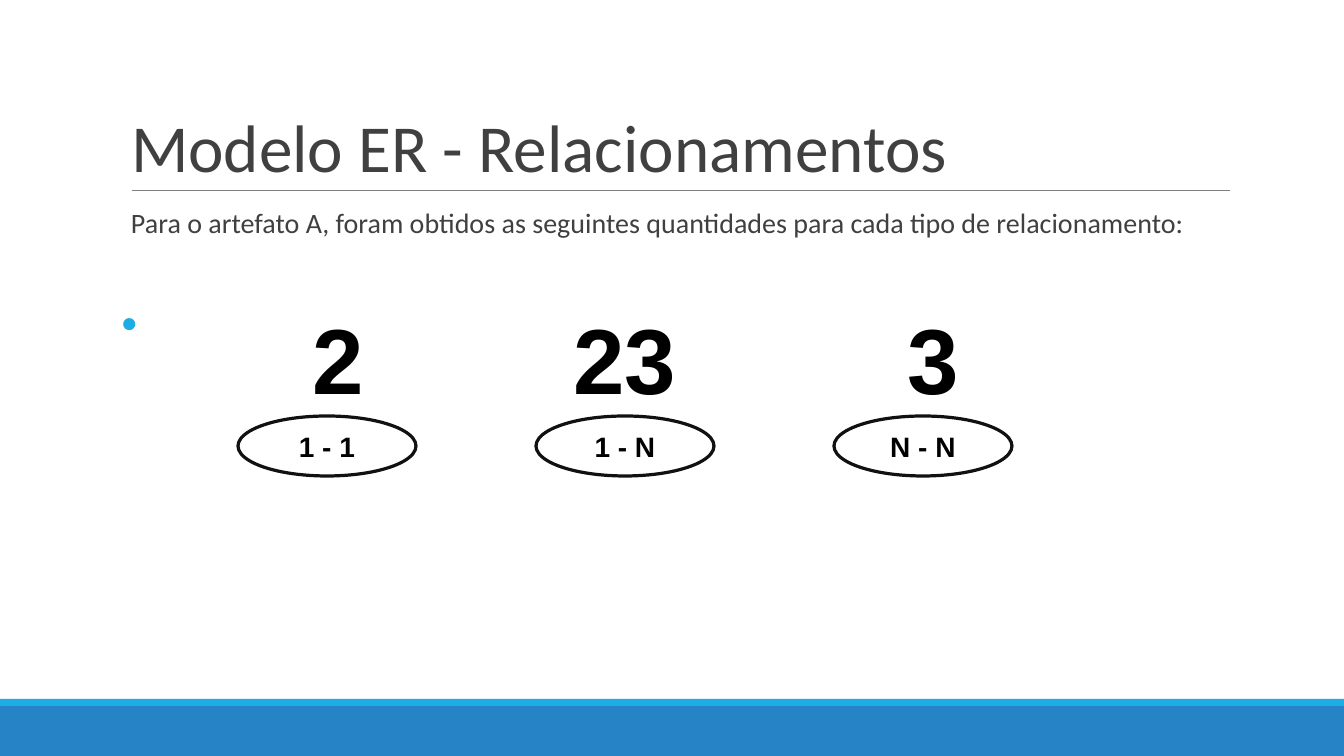
from dataclasses import dataclass

from lxml import etree
from pptx import Presentation
from pptx.dml.color import RGBColor
from pptx.enum.shapes import MSO_CONNECTOR, MSO_SHAPE
from pptx.enum.text import MSO_ANCHOR, MSO_AUTO_SIZE, PP_ALIGN
from pptx.oxml.ns import qn
from pptx.util import Pt

TITLE = "Modelo ER - Relacionamentos"
INTRO = "Para o artefato A, foram obtidos as seguintes quantidades para cada tipo de relacionamento:"
# quantity, its centre relative to the ellipse, its width, relationship type
RELATIONSHIPS = [("2", 11, 119, "1 - 1"), ("23", 0, 178, "1 - N"), ("3", 10, 119, "N - N")]


@dataclass(frozen=True)
class Theme:
    text: str = "404040"
    black: str = "000000"
    white: str = "FFFFFF"
    outline: str = "111111"
    rule: str = "808080"
    accent: str = "1CADE4"
    footer: str = "2683C6"
    heading_font: str = "Calibri"
    diagram_font: str = "Arial"
    title_size: int = 48
    body_size: int = 20
    quantity_size: int = 66


THEME = Theme()
EMU_PER_PX = 914400 / 100.8
WIDTH, HEIGHT = 1344, 756
LEFT, CONTENT_WIDTH = 121, 1109
ELLIPSE_LEFT, ELLIPSE_TOP, ELLIPSE_WIDTH, ELLIPSE_HEIGHT = 238, 416, 178, 60
PITCH = 298
QUANTITY_TOP, QUANTITY_HEIGHT = 297, 113
LEFT_ALIGN, CENTER = PP_ALIGN.LEFT, PP_ALIGN.CENTER


def px(*lengths):
    return [round(length * EMU_PER_PX) for length in lengths]


def color(value):
    return RGBColor.from_string(value)


def place(shape, *box):
    shape.left, shape.top, shape.width, shape.height = px(*box)


def set_insets(frame, horizontal, vertical):
    frame.margin_left = frame.margin_right = px(horizontal)[0]
    frame.margin_top = frame.margin_bottom = px(vertical)[0]


def format_paragraph(paragraph, alignment, font_name, size, text_color, bold=False):
    paragraph.alignment = alignment
    for run in paragraph.runs:
        run.font.name = font_name
        run.font.size = Pt(size)
        run.font.bold = bold
        run.font.color.rgb = color(text_color)


def set_bullet(paragraph, indent, character=None):
    properties = paragraph._p.get_or_add_pPr()
    properties.set("marL", str(px(10)[0]))
    properties.set("indent", str(px(indent)[0]))
    if character is None:
        etree.SubElement(properties, qn("a:buNone"))
        return
    bullet_color = etree.SubElement(properties, qn("a:buClr"))
    etree.SubElement(bullet_color, qn("a:srgbClr"), val=THEME.accent)
    etree.SubElement(properties, qn("a:buChar"), char=character)


def add_filled_shape(slide, kind, box, fill):
    shape = slide.shapes.add_shape(kind, *px(*box))
    shape.shadow.inherit = False
    shape.fill.solid()
    shape.fill.fore_color.rgb = color(fill)
    shape.line.fill.background()
    return shape


def add_background(slide):
    for top, height, fill in [(706, 50, THEME.footer), (699, 7, THEME.accent)]:
        add_filled_shape(slide, MSO_SHAPE.RECTANGLE, (0, top, WIDTH, height), fill)
    rule = slide.shapes.add_connector(MSO_CONNECTOR.STRAIGHT, *px(132, 191, 1230, 191))
    rule.line.color.rgb = color(THEME.rule)
    rule.line.width = Pt(0.75)
    etree.SubElement(rule._element.spPr, qn("a:effectLst"))


def fill_title(title):
    place(title, LEFT, 31, CONTENT_WIDTH, 160)
    frame = title.text_frame
    frame.text = TITLE
    frame.auto_size = MSO_AUTO_SIZE.NONE
    frame.vertical_anchor = MSO_ANCHOR.BOTTOM
    paragraph = frame.paragraphs[0]
    paragraph.line_spacing = 0.85
    format_paragraph(paragraph, LEFT_ALIGN, THEME.heading_font, THEME.title_size, THEME.text)


def fill_body(body):
    place(body, LEFT, 204, CONTENT_WIDTH, 54)
    frame = body.text_frame
    frame.text = INTRO
    frame.auto_size = MSO_AUTO_SIZE.NONE
    frame.vertical_anchor = MSO_ANCHOR.TOP
    set_insets(frame, 0, 5)
    intro, bullet = frame.paragraphs[0], frame.add_paragraph()
    bullet.text = " "
    set_bullet(intro, 0)
    set_bullet(bullet, -14, "●")
    for paragraph, space_before in [(intro, 0), (bullet, 50)]:
        paragraph.line_spacing = 0.9
        paragraph.space_before = Pt(space_before)
        format_paragraph(paragraph, LEFT_ALIGN, THEME.heading_font, THEME.body_size, THEME.text)


def add_relationship(slide, left, quantity, offset, quantity_width, kind):
    quantity_left = left + ELLIPSE_WIDTH / 2 + offset - quantity_width / 2
    box = slide.shapes.add_textbox(
        *px(quantity_left, QUANTITY_TOP, quantity_width, QUANTITY_HEIGHT))
    ellipse = add_filled_shape(
        slide, MSO_SHAPE.OVAL,
        (left, ELLIPSE_TOP, ELLIPSE_WIDTH, ELLIPSE_HEIGHT), THEME.white)
    ellipse.line.color.rgb = color(THEME.outline)
    ellipse.line.width = Pt(2.3)
    ellipse.text_frame.vertical_anchor = MSO_ANCHOR.MIDDLE
    set_insets(ellipse.text_frame, 11, 6)
    for shape, text, size in [(box, quantity, THEME.quantity_size), (ellipse, kind, THEME.body_size)]:
        frame = shape.text_frame
        frame.word_wrap = True
        frame.text = text
        format_paragraph(frame.paragraphs[0], CENTER, THEME.diagram_font, size, THEME.black, True)


def main():
    presentation = Presentation()
    presentation.slide_width, presentation.slide_height = px(WIDTH, HEIGHT)
    slide = presentation.slides.add_slide(presentation.slide_layouts[1])
    add_background(slide)
    fill_title(slide.shapes.title)
    fill_body(slide.placeholders[1])
    for index, relationship in enumerate(RELATIONSHIPS):
        add_relationship(slide, ELLIPSE_LEFT + index * PITCH, *relationship)
    presentation.save("out.pptx")


if __name__ == "__main__":
    main()
